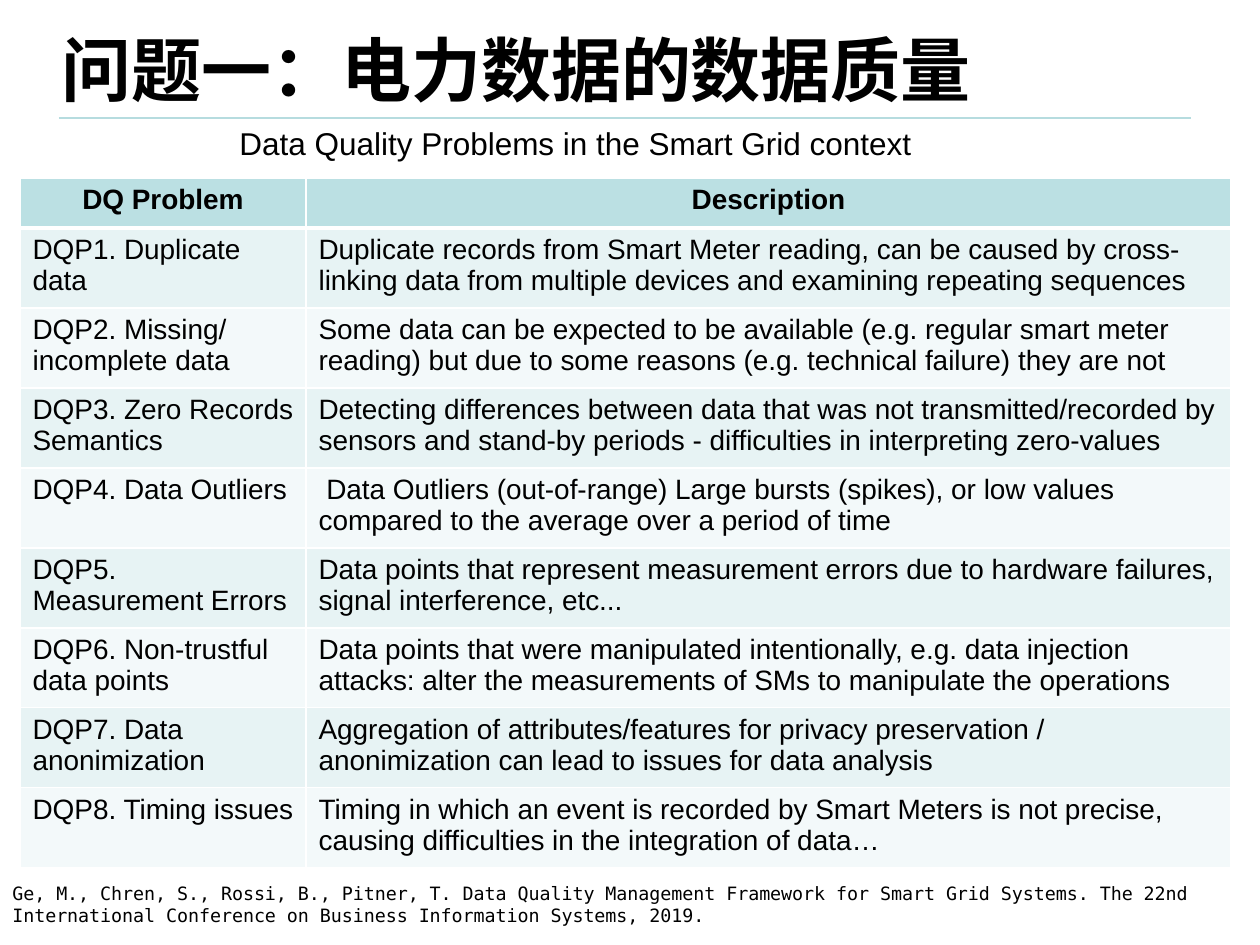
"""Build a slide that tabulates data quality problems in the smart grid."""
import pptx
import pptx.dml.color
import pptx.enum.shapes
import pptx.enum.text
import pptx.oxml
import pptx.oxml.ns
import pptx.util

SCALE = pptx.util.Inches(1) / 126
ALIGN = pptx.enum.text.PP_ALIGN
ANCHOR = pptx.enum.text.MSO_ANCHOR


def color(value):
    return pptx.dml.color.RGBColor.from_string(value)


def write(frame, text, size, name="Arial", bold=False, align=ALIGN.LEFT):
    frame.word_wrap = True
    frame.text = text
    para = frame.paragraphs[0]
    para.alignment = align
    para.font.size = pptx.util.Pt(size)
    para.font.name = name
    para.font.bold = bold
    para.font.color.rgb = color("000000")


deck = pptx.Presentation()
deck.slide_width = pptx.util.Inches(10)
deck.slide_height = pptx.util.Inches(7.5)
page = deck.slides.add_slide(deck.slide_layouts[5])

left, top, right = [round(px * SCALE) for px in (59, 118, 1191)]
rule = page.shapes.add_connector(
    pptx.enum.shapes.MSO_CONNECTOR.STRAIGHT, left, top, right, top)
rule.line.color.rgb = color("B6DCDF")
rule.line.width = pptx.util.Pt(0.75)
rule._element.spPr.append(pptx.oxml.parse_xml(
    f'<a:effectLst {pptx.oxml.ns.nsdecls("a")}/>'))

title = page.shapes.title
title.left, title.top, title.width, title.height = [
    round(px * SCALE) for px in (49, 20, 1157, 97)]
title.text_frame.vertical_anchor = ANCHOR.MIDDLE
write(title.text_frame, "问题一：电力数据的数据质量", 40, "DejaVu Sans Mono", True)

citation = (
    "Ge, M., Chren, S., Rossi, B., Pitner, T. Data Quality Management Framework "
    "for Smart Grid Systems. The 22nd International Conference on Business "
    "Information Systems, 2019.")
captions = [
    ((227, 118, 728, 50), "Data Quality Problems in the Smart Grid context", 18, "Arial"),
    ((0, 876, 1260, 69), citation, 10.5, "DejaVu Sans Mono"),
]
for place, text, size, name in captions:
    box = page.shapes.add_textbox(*[round(px * SCALE) for px in place])
    write(box.text_frame, text, size, name)

rows = [
    ("DQ Problem", "Description"),
    ("DQP1. Duplicate data",
     "Duplicate records from Smart Meter reading, can be caused by cross-linking "
     "data from multiple devices and examining repeating sequences"),
    ("DQP2. Missing/ incomplete data",
     "Some data can be expected to be available (e.g. regular smart meter reading) "
     "but due to some reasons (e.g. technical failure) they are not"),
    ("DQP3. Zero Records Semantics",
     "Detecting differences between data that was not transmitted/recorded by "
     "sensors and stand-by periods - difficulties in interpreting zero-values"),
    ("DQP4. Data Outliers",
     " Data Outliers (out-of-range) Large bursts (spikes), or low values compared "
     "to the average over a period of time"),
    ("DQP5.  Measurement Errors",
     "Data points that represent measurement errors due to hardware failures, "
     "signal interference, etc..."),
    ("DQP6. Non-trustful data points",
     "Data points that were manipulated intentionally, e.g. data injection attacks: "
     "alter the measurements of SMs to manipulate the operations"),
    ("DQP7. Data anonimization",
     "Aggregation of attributes/features for privacy preservation / anonimization "
     "can lead to issues for data analysis"),
    ("DQP8. Timing issues",
     "Timing in which an event is recorded by Smart Meters is not precise, causing "
     "difficulties in the integration of data…"),
]
place = [round(px * SCALE) for px in (20, 178, 1211, 690)]
table = page.shapes.add_table(len(rows), 2, *place).table
for column, width in zip(table.columns, (286, 925)):
    column.width = round(width * SCALE)

for index, texts in enumerate(rows):
    header = index == 0
    table.rows[index].height = round((50 if header else 80) * SCALE)
    fill = "BBE0E3" if header else ("F3F9FA", "E7F3F4")[index % 2]
    for cell, text in zip(table.rows[index].cells, texts):
        write(cell.text_frame, text, 16, bold=header,
              align=ALIGN.CENTER if header else ALIGN.LEFT)
        cell.fill.solid()
        cell.fill.fore_color.rgb = color(fill)
        borders = {"lnL": 1, "lnR": 1, "lnT": 3 if index == 1 else 1,
                   "lnB": 3 if header else 1}
        for position, (side, points) in enumerate(borders.items()):
            cell._tc.get_or_add_tcPr().insert(position, pptx.oxml.parse_xml(
                f'<a:{side} {pptx.oxml.ns.nsdecls("a")} w="{pptx.util.Pt(points)}">'
                f'<a:solidFill><a:srgbClr val="FFFFFF"/></a:solidFill></a:{side}>'))

deck.save("out.pptx")
